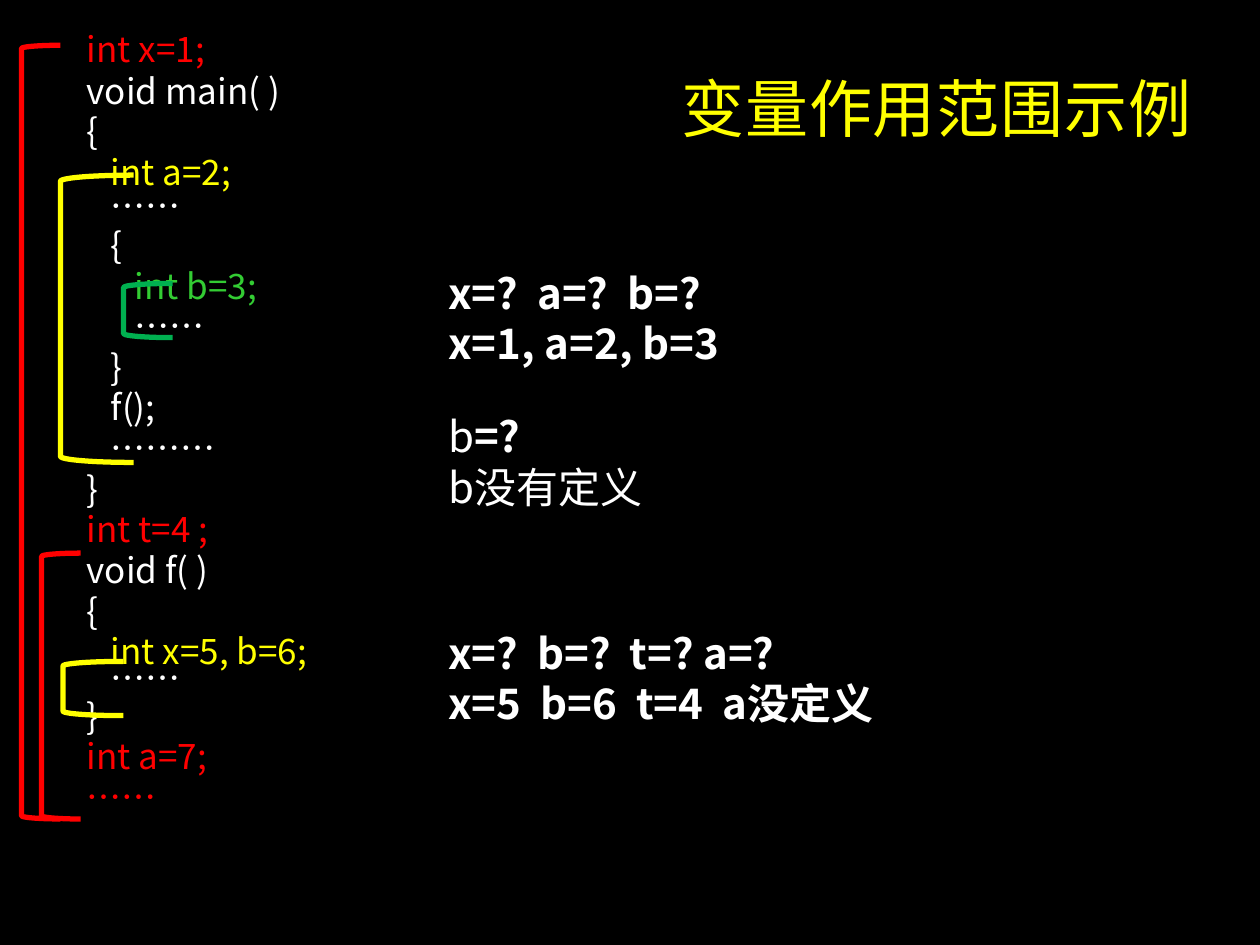
import pptx
import pptx.dml.color
import pptx.enum.shapes
import pptx.enum.text
import pptx.util

WIDTH, HEIGHT = 10, 7.5
FONT = "Noto Sans CJK SC"
COLORS = {
    "black": "000000", "white": "FFFFFF", "red": "FF0000",
    "yellow": "FFFF00", "lime": "33CC33", "green": "00B050",
}
INDENT = 0.19          # one level of code nesting
ANSWER_LEFT = 3.46     # column of questions and answers
ANSWER_HEIGHT = 0.91

# text, nesting level, colour, line spacing
CODE = [
    ("int x=1;", 0, "red", 0.9),
    ("void main( )", 0, "white", 0.8),
    ("{", 0, "white", 0.8),
    ("int a=2;", 1, "yellow", 0.8),
    ("……", 1, "white", 0.6),
    ("{", 1, "white", 0.8),
    ("int b=3;", 2, "lime", 0.8),
    ("……", 2, "white", 0.8),
    ("}", 1, "white", 0.8),
    ("f();", 1, "white", 0.8),
    ("………", 1, "white", 0.8),
    ("}", 0, "white", 0.8),
    ("int t=4 ;", 0, "red", 0.8),
    ("void f( )", 0, "white", 0.8),
    ("{", 0, "white", 0.8),
    ("int x=5, b=6;", 1, "yellow", 0.8),
    ("……", 1, "white", 0.4),
    ("}", 0, "white", 0.8),
    ("int a=7;", 0, "red", 0.8),
    ("……", 0, "red", 0.8),
]

# top, width, lines made of (text, bold) runs
ANSWERS = [
    (2.07, 2.91, [[("x=?  a=?  b=?", True)], [("x=1, a=2, b=3", True)]]),
    (3.21, 2.97, [[("b", False), ("=?", True)], [("b没有定义", False)]]),
    (4.93, 4.61, [[("x=?  b=?  t=? a=?", True)],
                  [("x=5  b=6  t=4  a没定义", True)]]),
]

# left, top, width, height, colour
SCOPES = [
    (0.17, 0.36, 0.31, 6.14, "red"),
    (0.48, 1.39, 0.58, 2.28, "yellow"),
    (0.33, 4.39, 0.31, 2.11, "red"),
    (0.98, 2.25, 0.39, 0.43, "green"),
    (0.5, 5.25, 0.48, 0.43, "yellow"),
]


def color(name):
    return pptx.dml.color.RGBColor.from_string(COLORS[name])


def box(*lengths):
    return [pptx.util.Inches(length) for length in lengths]


def style(font, size, color_name, name=FONT):
    font.name = name
    font.size = pptx.util.Pt(size)
    font.color.rgb = color(color_name)


def paragraphs(frame, count):
    """Return the first paragraph of a frame and as many new ones as needed."""
    return [frame.paragraphs[0]] + [frame.add_paragraph() for _ in range(count - 1)]


def add_title(slide, text):
    frame = slide.shapes.add_textbox(*box(5.31, 0.44, 4.38, 0.83)).text_frame
    frame.word_wrap = True
    frame.vertical_anchor = pptx.enum.text.MSO_ANCHOR.MIDDLE
    paragraph = frame.paragraphs[0]
    run = paragraph.add_run()
    run.text = text
    style(paragraph.font, 36, "yellow", "Lato")
    run.font._element.set("spc", "50")


def add_code(slide):
    frame = slide.shapes.add_textbox(*box(0.59, 0.21, 7.56, 7.09)).text_frame
    frame.word_wrap = True
    for paragraph, (text, level, color_name, spacing) in zip(
            paragraphs(frame, len(CODE)), CODE):
        paragraph.text = text
        paragraph.line_spacing = spacing
        paragraph.space_before = pptx.util.Pt(4)
        paragraph._p.get_or_add_pPr().set("marL", str(pptx.util.Inches(INDENT * level)))
        style(paragraph.font, 20, color_name)


def add_answer(slide, top, width, lines):
    shape = slide.shapes.add_shape(
        pptx.enum.shapes.MSO_SHAPE.RECTANGLE,
        *box(ANSWER_LEFT, top, width, ANSWER_HEIGHT))
    shape.shadow.inherit = False
    shape.fill.solid()
    shape.fill.fore_color.rgb = color("black")
    shape.line.fill.background()
    frame = shape.text_frame
    frame.word_wrap = True
    frame.auto_size = pptx.enum.text.MSO_AUTO_SIZE.SHAPE_TO_FIT_TEXT
    frame.vertical_anchor = pptx.enum.text.MSO_ANCHOR.TOP
    for paragraph, line in zip(paragraphs(frame, len(lines)), lines):
        paragraph.alignment = pptx.enum.text.PP_ALIGN.LEFT
        style(paragraph.font, 24, "white")
        for text, bold in line:
            run = paragraph.add_run()
            run.text = text
            run.font.bold = bold


def add_scope(slide, left, top, width, height, color_name):
    bracket = slide.shapes.add_shape(
        pptx.enum.shapes.MSO_SHAPE.LEFT_BRACKET, *box(left, top, width, height))
    bracket.shadow.inherit = False
    bracket.fill.background()
    bracket.line.color.rgb = color(color_name)
    bracket.line.width = pptx.util.Pt(3)


def main():
    presentation = pptx.Presentation()
    presentation.slide_width, presentation.slide_height = box(WIDTH, HEIGHT)
    slide = presentation.slides.add_slide(presentation.slide_layouts[6])
    slide.background.fill.solid()
    slide.background.fill.fore_color.rgb = color("black")

    # Title and program listing
    add_title(slide, "变量作用范围示例")
    add_code(slide)

    # Values visible at each point
    for answer in ANSWERS:
        add_answer(slide, *answer)

    # Brackets marking the scope of each variable
    for scope in SCOPES:
        add_scope(slide, *scope)

    presentation.save("out.pptx")


main()
